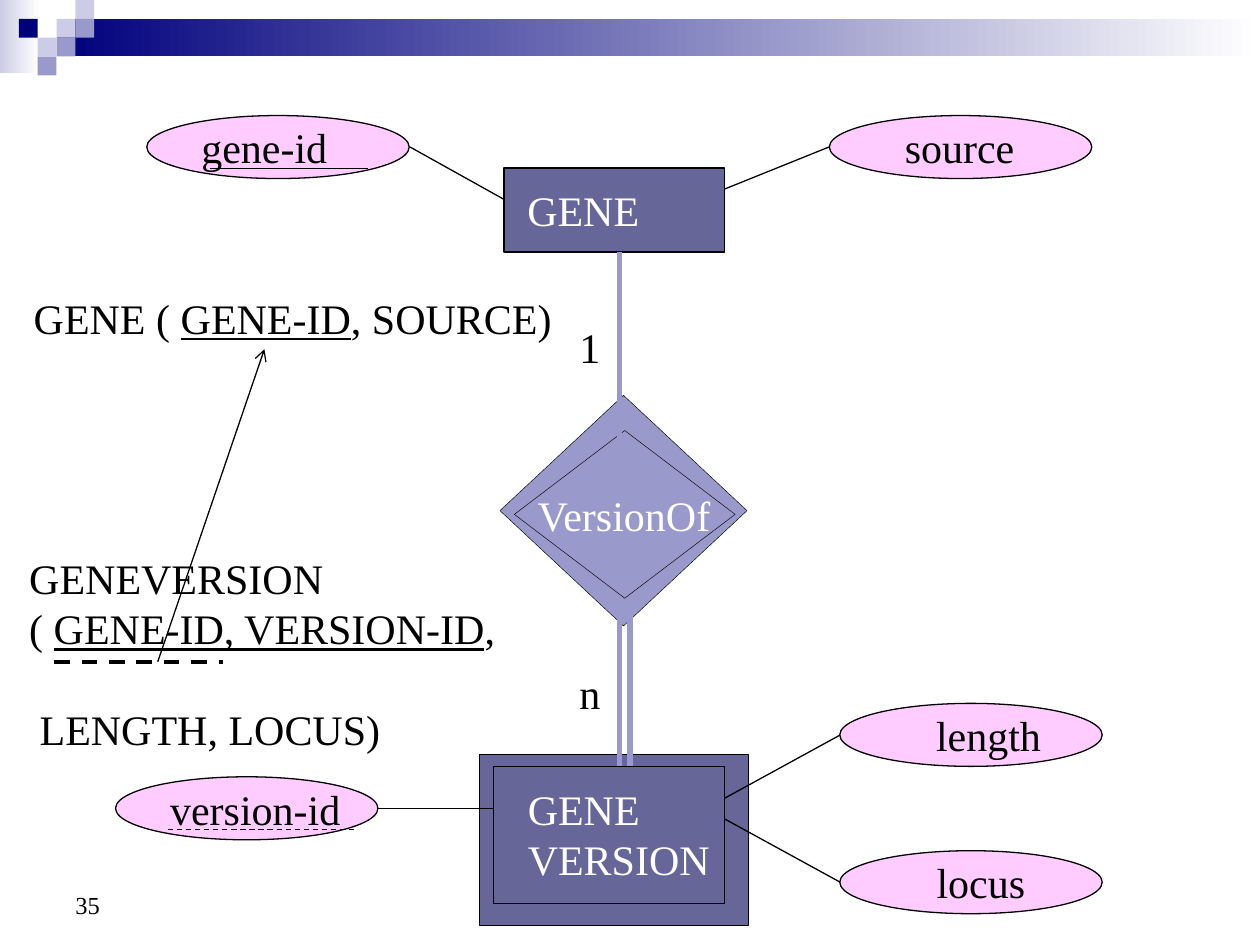
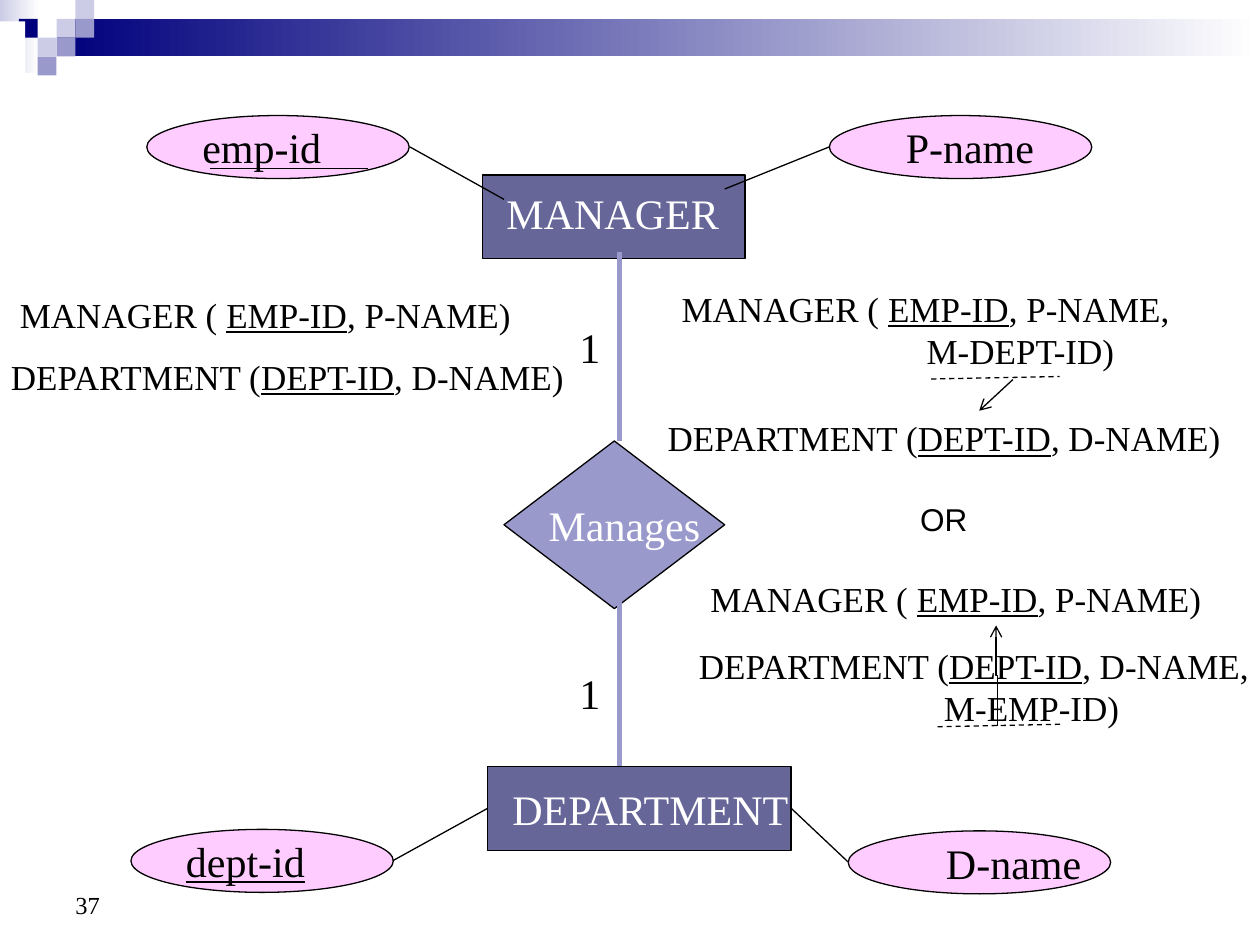
import lxml.etree
import pptx
import pptx.dml.color
import pptx.enum.dml
import pptx.enum.shapes
import pptx.enum.text
import pptx.oxml.ns
import pptx.util

Cm = pptx.util.Cm
Pt = pptx.util.Pt
qn = pptx.oxml.ns.qn
KIND = pptx.enum.shapes.MSO_SHAPE
LINK = pptx.enum.shapes.MSO_CONNECTOR
ANCHOR = pptx.enum.text.MSO_ANCHOR

BLACK, WHITE = "000000", "FFFFFF"
NAVY, SLATE, LILAC, PALE, PINK = "00007D", "666699", "9999CC", "CCCCE6", "FFCCFF"
SERIF, SANS = "Times New Roman", "Arial"
LEAD = 1.2
TILE = 0.38


def color(code):
    return pptx.dml.color.RGBColor.from_string(code)


def write(frame, text, size=24, ink=BLACK, font=SERIF, indent=0, gap=0):
    lines = text.split("\n")
    for index, line in enumerate(lines):
        para = frame.add_paragraph() if index else frame.paragraphs[0]
        para.line_spacing = Pt(LEAD * size)
        if index and index == len(lines) - 1:
            para.space_before = Pt(gap)
            para._p.get_or_add_pPr().set("marL", str(Cm(indent)))
        for part, piece in enumerate(line.split("_")):
            if piece:
                run = para.add_run()
                run.text = piece
                run.font.size = Pt(size)
                run.font.name = font
                run.font.color.rgb = color(ink)
                run.font.underline = part % 2 == 1


class Deck:
    def __init__(self):
        self.file = pptx.Presentation()
        self.file.slide_width = Cm(25.4)
        self.file.slide_height = Cm(19.05)
        self.slide = None

    def page(self, number):
        self.slide = self.file.slides.add_slide(self.file.slide_layouts[6])
        self.fade(0, 0, 0.79, 1.47, PALE)
        self.fade(1.14, 0.38, 24.26, 0.76, NAVY)
        tiles = [(3, 1, PALE), (4, 0, PALE), (4, 1, LILAC), (2, 2, PALE),
                 (1, 1, NAVY), (3, 2, LILAC), (2, 3, LILAC)]
        for col, row, fill in tiles:
            self.shape(KIND.RECTANGLE, col * TILE, row * TILE, TILE, TILE, fill)
        self.text(number, 1.27, 17.35, 5.92, high=1.32, wrap=True,
                  anchor=ANCHOR.BOTTOM, size=14)

    def shape(self, kind, x, y, wide, high, fill, edge=0):
        item = self.slide.shapes.add_shape(kind, Cm(x), Cm(y), Cm(wide), Cm(high))
        item.shadow.inherit = False
        item.fill.solid()
        item.fill.fore_color.rgb = color(fill)
        if edge:
            item.line.color.rgb = color(BLACK)
            item.line.width = Pt(edge)
        else:
            item.line.fill.background()
        return item

    def fade(self, x, y, wide, high, start):
        item = self.shape(KIND.RECTANGLE, x, y, wide, high, start)
        item.fill.gradient()
        item.fill.gradient_angle = 0
        for stop, code in zip(item.fill.gradient_stops, (start, WHITE)):
            stop.color.rgb = color(code)

    def text(self, text, x, y, wide, high=None, wrap=False, anchor=ANCHOR.TOP, **style):
        if high is None:
            rows = text.count("\n") + 1
            points = rows * LEAD * style.get("size", 24) + style.get("gap", 0)
            high = Pt(points).cm + 0.25
        box = self.slide.shapes.add_textbox(Cm(x), Cm(y), Cm(wide), Cm(high))
        frame = box.text_frame
        frame.word_wrap = wrap
        frame.vertical_anchor = anchor
        if anchor == ANCHOR.TOP:
            frame.auto_size = pptx.enum.text.MSO_AUTO_SIZE.SHAPE_TO_FIT_TEXT
        write(frame, text, **style)

    def oval(self, text, x, y, shift, wide):
        self.shape(KIND.OVAL, x, y, 5.29, 1.27, PINK, 0.75)
        self.text(text, x + shift, y, wide)

    def line(self, x1, y1, x2, y2, ink=BLACK, width=0.75, dash=False,
             arrow=False, kind=LINK.STRAIGHT):
        item = self.slide.shapes.add_connector(kind, Cm(x1), Cm(y1), Cm(x2), Cm(y2))
        item.line.color.rgb = color(ink)
        item.line.width = Pt(width)
        if dash:
            item.line.dash_style = pptx.enum.dml.MSO_LINE.DASH
        props = item._element.spPr
        if arrow:
            lxml.etree.SubElement(props.find(qn("a:ln")), qn("a:tailEnd"), type="arrow")
        lxml.etree.SubElement(props, qn("a:effectLst"))
        return item

    def joins(self, low):
        self.line(10.16, 4.02, 8.26, 2.96)
        self.line(14.61, 3.81, 16.72, 2.96)
        self.line(12.49, 8.89, 12.49, 5.08, LILAC, 3)
        self.line(12.49, 12.07, 12.49, 15.45, LILAC, 3)
        self.text("1", 11.43, 6.35, 0.91)
        self.text(low, 11.43, 13.34, 0.91)
        self.line(4.23, 3.39, 7.41, 3.39)


def gene(deck):
    deck.page("35")
    deck.shape(KIND.DIAMOND, 10.08, 7.97, 4.98, 4.65, LILAC, 0.25)
    deck.shape(KIND.RECTANGLE, 9.67, 15.21, 5.41, 3.45, SLATE, 0.25)
    deck.shape(KIND.DIAMOND, 10.37, 8.68, 4.45, 3.38, LILAC, 0.25)
    deck.text("VersionOf", 10.59, 9.74, 4.06, ink=WHITE)
    deck.oval("gene-id", 2.96, 2.33, 0.85, 3.05)
    deck.oval("source", 16.72, 2.33, 1.27, 2.72)
    deck.oval("version-id", 2.33, 15.66, 0.85, 3.94)
    deck.oval("length", 16.93, 14.18, 1.69, 2.62)
    deck.oval("locus", 16.93, 17.15, 1.7, 2.29)
    deck.shape(KIND.RECTANGLE, 10.16, 3.39, 4.45, 1.69, SLATE, 0.75)
    deck.text("GENE", 10.38, 3.6, 2.77, ink=WHITE)
    deck.shape(KIND.RECTANGLE, 9.95, 15.45, 4.66, 2.75, SLATE, 0.25)
    deck.text("GENE\nVERSION", 10.39, 15.67, 4.17, ink=WHITE)
    deck.joins("n")
    deck.line(14.61, 16.09, 16.93, 14.82)
    deck.line(14.61, 16.51, 16.93, 17.78)
    deck.line(9.95, 16.3, 7.62, 16.3)
    deck.line(12.7, 12.07, 12.7, 15.45, LILAC, 3)
    deck.line(3.39, 16.72, 7.2, 16.72, dash=True)
    deck.text("GENE ( _GENE-ID_, SOURCE)", 0.43, 5.77, 10.95)
    deck.text("GENEVERSION\n( _GENE-ID, VERSION-ID_,\nLENGTH, LOCUS)",
              0.34, 11.01, 9.91, indent=0.21, gap=28.8)
    deck.line(1.09, 13.34, 4.5, 13.34, width=2.25, dash=True)
    deck.line(3.18, 13.34, 5.33, 7.04, arrow=True)


def staff(deck):
    deck.page("37")
    deck.shape(KIND.DIAMOND, 10.16, 8.89, 4.45, 3.38, LILAC, 0.75)
    deck.text("Manages", 10.81, 9.95, 3.56, ink=WHITE)
    deck.oval("emp-id", 2.96, 2.33, 0.87, 2.9)
    deck.oval("P-name", 16.72, 2.33, 1.29, 3.1)
    deck.oval("_dept-id_", 2.64, 16.72, 0.86, 2.9)
    deck.oval("D-name", 17.1, 16.75, 1.72, 3.23)
    deck.shape(KIND.RECTANGLE, 9.73, 3.53, 5.29, 1.69, SLATE, 0.75)
    deck.text("MANAGER", 9.96, 3.66, 4.78, ink=WHITE)
    unit = deck.shape(KIND.RECTANGLE, 9.83, 15.45, 6.12, 1.69, SLATE, 0.75)
    deck.text("DEPARTMENT", 10.08, 15.67, 8.2, wrap=True, ink=WHITE)
    deck.joins("1")
    deck.shape(KIND.RECTANGLE, 0, 0.43, 0.51, 1.45, WHITE)
    deck.line(9.83, 16.3, 7.92, 17.35).begin_connect(unit, 1)
    deck.line(17.09, 17.37, 15.95, 16.3).end_connect(unit, 3)

    boss = "MANAGER ( _EMP-ID_, P-NAME"
    dept = "DEPARTMENT (_DEPT-ID_, D-NAME"
    tables = [
        (boss + ")", 0.15, 5.79, 10.6),
        (dept + ")", -0.03, 7.04, 11.84),
        (boss + ")", 14.07, 11.51, 10.6),
        (boss + ",\nM-DEPT-ID)", 13.49, 5.67, 10.52),
        (dept + ")", 13.21, 8.28, 11.84),
        (dept + ",\nM-EMP-ID)", 13.84, 12.86, 11.94),
    ]
    for text, x, y, wide in tables:
        deck.text(text, x, y, wide, size=20, indent=4.94)
    deck.line(18.77, 7.64, 21.36, 7.59, dash=True)
    deck.line(20.42, 7.65, 19.74, 8.28, arrow=True)
    deck.text("OR", 18.3, 9.96, 2.82, wrap=True, size=18, font=SANS)
    deck.line(18.9, 14.65, 21.39, 14.6, dash=True)
    bend = deck.line(19.08, 13.64, 21.11, 13.61, arrow=True, kind=LINK.ELBOW)
    bend._element.spPr.find(qn("a:xfrm")).set("rot", str(270 * 60000))


def main():
    deck = Deck()
    gene(deck)
    staff(deck)
    deck.file.save("out.pptx")


if __name__ == "__main__":
    main()
